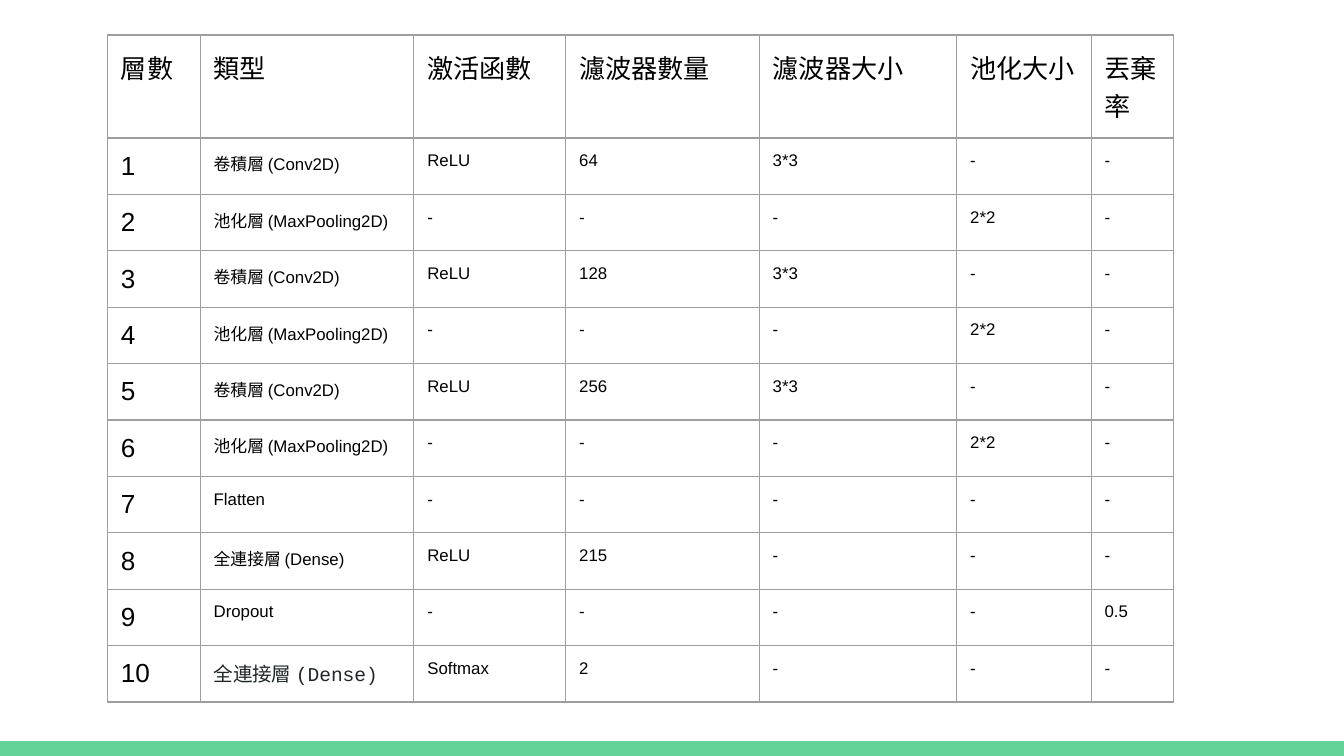
from lxml import etree
from pptx import Presentation
from pptx.dml.color import RGBColor
from pptx.enum.shapes import MSO_SHAPE
from pptx.oxml.ns import qn
from pptx.util import Inches, Pt

RECTANGLE = MSO_SHAPE.RECTANGLE
COLORS = {"white": "FFFFFF", "green": "63D297", "border": "9E9E9E",
          "text": "000000", "code": "202729"}
WIDTH = 10
HEIGHT = WIDTH * 9 / 16
BAR_HEIGHT = 0.11
BLANK_LAYOUT = 6

# Table grid, in inches
LEFT, TOP = 0.8, 0.26
COLUMN_WIDTHS = [0.69, 1.59, 1.13, 1.44, 1.47, 1, 0.61]
HEADER_HEIGHT, ROW_HEIGHT = 0.76, 0.42
CELL_MARGIN = 0.1

HEADER = ["層數", "類型", "激活函數", "濾波器數量", "濾波器大小", "池化大小", "丟棄率"]
CONVOLUTION, POOLING, DENSE = "卷積層 (Conv2D)", "池化層 (MaxPooling2D)", "全連接層 (Dense)"
LAYERS = [
    [CONVOLUTION, "ReLU", "64", "3*3", "-", "-"],
    [POOLING, "-", "-", "-", "2*2", "-"],
    [CONVOLUTION, "ReLU", "128", "3*3", "-", "-"],
    [POOLING, "-", "-", "-", "2*2", "-"],
    [CONVOLUTION, "ReLU", "256", "3*3", "-", "-"],
    [POOLING, "-", "-", "-", "2*2", "-"],
    ["Flatten", "-", "-", "-", "-", "-"],
    [DENSE, "ReLU", "215", "-", "-", "-"],
    ["Dropout", "-", "-", "-", "-", "0.5"],
    [DENSE, "Softmax", "2", "-", "-", "-"],
]
ROWS = [HEADER] + [[str(number), *layer] for number, layer in enumerate(LAYERS, 1)]

# Text formats
LARGE = {"size": Pt(14), "name": "Arial", "bold": False}
SMALL = {"size": Pt(9), "name": "Arial", "bold": False}
CODE = {"size": Pt(10.5), "name": "Courier New", "bold": False}


def add_borders(cell):
    properties = cell._tc.get_or_add_tcPr()
    for position, side in enumerate(("a:lnL", "a:lnR", "a:lnT", "a:lnB")):
        line = etree.Element(qn(side), w=str(Pt(0.75)))
        fill = etree.SubElement(line, qn("a:solidFill"))
        etree.SubElement(fill, qn("a:srgbClr"), val=COLORS["border"])
        properties.insert(position, line)


presentation = Presentation()
presentation.slide_width = Inches(WIDTH)
presentation.slide_height = Inches(HEIGHT)
slide = presentation.slides.add_slide(presentation.slide_layouts[BLANK_LAYOUT])
slide.background.fill.solid()
slide.background.fill.fore_color.rgb = RGBColor.from_string(COLORS["white"])

# Bottom bar
bar = slide.shapes.add_shape(RECTANGLE, 0, Inches(HEIGHT - BAR_HEIGHT),
                             Inches(WIDTH), Inches(BAR_HEIGHT))
bar.shadow.inherit = False
bar.fill.solid()
bar.fill.fore_color.rgb = RGBColor.from_string(COLORS["green"])
bar.line.fill.background()

# Network layer table
table_height = HEADER_HEIGHT + ROW_HEIGHT * len(LAYERS)
table = slide.shapes.add_table(
    len(ROWS), len(HEADER), Inches(LEFT), Inches(TOP),
    Inches(sum(COLUMN_WIDTHS)), Inches(table_height)).table
table.first_row = False
table.horz_banding = False
for column, width in zip(table.columns, COLUMN_WIDTHS):
    column.width = Inches(width)

for row_index, texts in enumerate(ROWS):
    table.rows[row_index].height = Inches(ROW_HEIGHT if row_index else HEADER_HEIGHT)
    for column_index, text in enumerate(texts):
        cell = table.cell(row_index, column_index)
        for side in ("left", "right", "top", "bottom"):
            setattr(cell, f"margin_{side}", Inches(CELL_MARGIN))
        cell.fill.background()
        add_borders(cell)

        # Header and numbers are large; the last layer type is set as code
        text_format, color = SMALL, COLORS["text"]
        if row_index == 0 or column_index == 0:
            text_format = LARGE
        elif row_index == len(LAYERS) and column_index == 1:
            text_format, color = CODE, COLORS["code"]
        run = cell.text_frame.paragraphs[0].add_run()
        run.text = text
        for attribute, value in text_format.items():
            setattr(run.font, attribute, value)
        run.font.color.rgb = RGBColor.from_string(color)

presentation.save("out.pptx")
